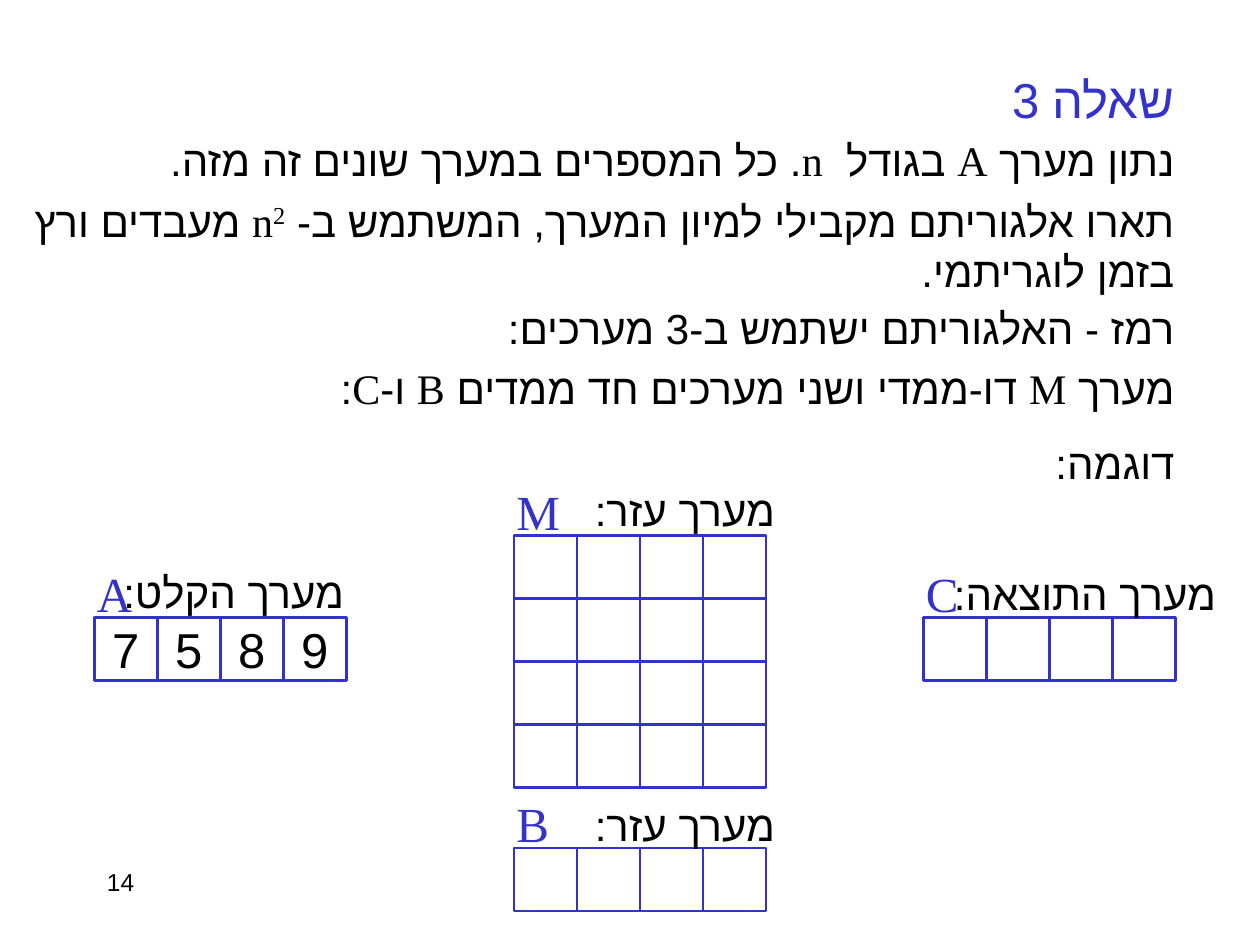
from lxml.etree import SubElement
from pptx import Presentation
from pptx.dml.color import RGBColor
from pptx.enum.shapes import MSO_SHAPE
from pptx.enum.text import MSO_ANCHOR, MSO_AUTO_SIZE, PP_ALIGN
from pptx.oxml.ns import qn
from pptx.util import Inches, Pt

BLUE = RGBColor(0x33, 0x33, 0xCC)
BLACK = RGBColor(0, 0, 0)
WHITE = RGBColor(0xFF, 0xFF, 0xFF)
LATIN_FONT = "Times New Roman"
HEBREW_FONT = "Arial"
CELL = 0.5

STATEMENTS = [
    (0, 1.02, 9.42, 0.5, ["נתון מערך A בגודל  n. כל המספרים במערך שונים זה מזה."]),
    (0, 1.5, 9.42, 0.9, ["תארו אלגוריתם מקבילי למיון המערך, המשתמש ב- n", "2",
                         " מעבדים ורץ בזמן לוגריתמי."]),
    (0, 2.35, 9.42, 0.5, ["רמז - האלגוריתם ישתמש ב-3 מערכים:"]),
    (0, 2.83, 9.42, 0.5, ["מערך M דו-ממדי ושני מערכים חד ממדים B ו-C:"]),
    (6.92, 3.42, 2.5, 0.5, ["דוגמה:"]),
]

ARRAYS = [
    {"name": "C", "caption": "מערך התוצאה:", "left": 7.33, "top": 4.9,
     "caption_at": (7.25, 4.46), "rows": [[""] * 4]},
    {"name": "A", "caption": "מערך הקלט:", "left": 0.75, "top": 4.9,
     "caption_at": (0.33, 4.45), "rows": [["7", "5", "8", "9"]]},
    {"name": "M", "caption": "מערך עזר:", "left": 4.08, "top": 4.25,
     "caption_at": (3.75, 3.8), "rows": [[""] * 4] * 4},
    {"name": "B", "caption": "מערך עזר:", "left": 4.08, "top": 6.73,
     "caption_at": (3.75, 6.3), "rows": [[""] * 4]},
]


def write_text(shape, runs, size, color, align, rtl=True, spaced=True):
    """Fill a shape with one paragraph, raising every second run."""
    paragraph = shape.text_frame.paragraphs[0]
    paragraph.alignment = align
    properties = paragraph._p.get_or_add_pPr()
    if rtl:
        properties.set("rtl", "1")
    if spaced:
        spacing = SubElement(properties, qn("a:spcBef"))
        SubElement(spacing, qn("a:spcPct")).set("val", "50000")
    for index, text in enumerate(runs):
        run = paragraph.add_run()
        run.text = text
        run.font.color.rgb = color
        for attribute, value in {"size": Pt(size), "name": LATIN_FONT}.items():
            setattr(run.font, attribute, value)
        run_properties = run._r.get_or_add_rPr()
        SubElement(run_properties, qn("a:cs")).set("typeface", HEBREW_FONT)
        if index % 2:
            run_properties.set("baseline", "30000")


def set_frame(shape, **settings):
    """Apply text frame settings to a shape."""
    for attribute, value in settings.items():
        setattr(shape.text_frame, attribute, value)


def add_text(shapes, left, top, width, height, runs, size=24, color=BLACK,
             align=PP_ALIGN.RIGHT, **options):
    """Add a wrapping text box."""
    box = shapes.add_textbox(Inches(left), Inches(top), Inches(width), Inches(height))
    set_frame(box, word_wrap=True, auto_size=MSO_AUTO_SIZE.SHAPE_TO_FIT_TEXT)
    write_text(box, runs, size, color, align, **options)


def add_title(slide, left, top, width, height, text):
    """Move and format the title placeholder."""
    title = slide.shapes.title
    box = {"left": left, "top": top, "width": width, "height": height}
    for attribute, value in box.items():
        setattr(title, attribute, Inches(value))
    set_frame(title, word_wrap=True, vertical_anchor=MSO_ANCHOR.TOP,
              auto_size=MSO_AUTO_SIZE.SHAPE_TO_FIT_TEXT)
    write_text(title, [text], 28, BLUE, PP_ALIGN.RIGHT)


def add_cell(shapes, left, top, value):
    """Add one square array cell with its value."""
    cell = shapes.add_shape(MSO_SHAPE.RECTANGLE, Inches(left), Inches(top),
                            Inches(CELL), Inches(CELL))
    cell.shadow.inherit = False
    cell.fill.solid()
    cell.fill.fore_color.rgb = WHITE
    cell.line.color.rgb = BLUE
    cell.line.width = Pt(1.5)
    if value:
        set_frame(cell, word_wrap=False, vertical_anchor=MSO_ANCHOR.MIDDLE)
        write_text(cell, [value], 28, BLACK, PP_ALIGN.CENTER, spaced=False)


def add_array(slide, name, caption, left, top, caption_at, rows):
    """Group a grid of cells with its letter and caption."""
    shapes = slide.shapes.add_group_shape().shapes
    for row, values in enumerate(rows):
        for column, value in enumerate(values):
            add_cell(shapes, left + column * CELL, top + row * CELL, value)
    add_text(shapes, left - 0.08, top - 0.48, 0.5, 0.57, [name], 28, BLUE,
             PP_ALIGN.LEFT, rtl=False)
    add_text(shapes, *caption_at, 2.5, 0.5, [caption])


def main():
    """Build and save the slide."""
    presentation = Presentation()
    presentation.slide_width = Inches(10)
    presentation.slide_height = Inches(7.5)
    slide = presentation.slides.add_slide(presentation.slide_layouts[5])
    add_title(slide, 7.75, 0.5, 1.67, 0.57, "שאלה 3")
    for left, top, width, height, runs in STATEMENTS:
        add_text(slide.shapes, left, top, width, height, runs)
    for array in ARRAYS:
        add_array(slide, **array)
    add_text(slide.shapes, 0.75, 6.83, 2.08, 0.5, ["14"], 14,
             align=PP_ALIGN.LEFT, spaced=False)
    presentation.save("out.pptx")


if __name__ == "__main__":
    main()
